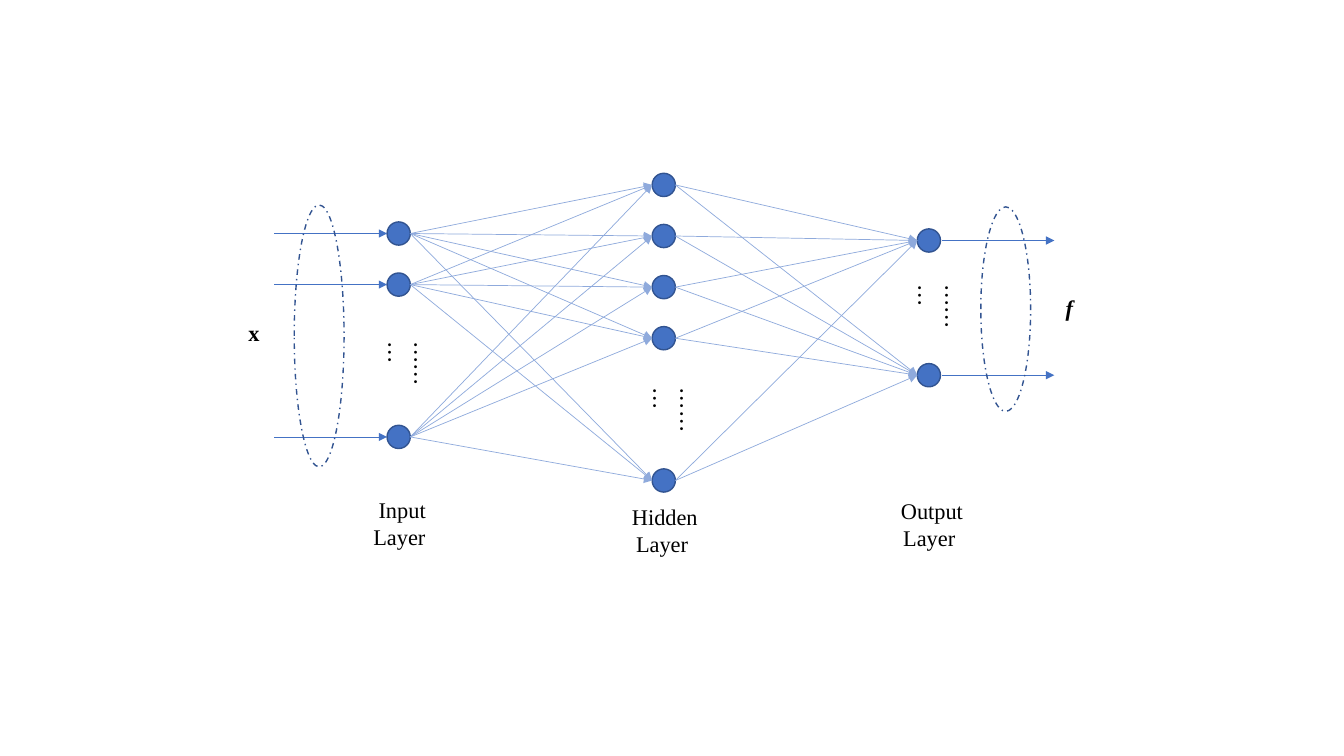
import itertools
from dataclasses import dataclass

import pptx
import pptx.dml.color
import pptx.enum.dml
import pptx.enum.shapes
import pptx.enum.text
import pptx.oxml.ns
import pptx.util
from lxml import etree

Pt = pptx.util.Pt
qn = pptx.oxml.ns.qn


@dataclass(frozen=True)
class Theme:
    node: str = "4472C4"
    outline: str = "325491"
    link: str = "8FAADC"
    text: str = "000000"
    size: float = 16
    serif: str = "Times New Roman"
    cjk: str = "Noto Sans CJK KR"


@dataclass(frozen=True)
class Layer:
    x: float          # centre of the column of neurons
    neurons: tuple    # centre heights
    dots_top: float
    label: str
    label_box: tuple


THEME = Theme()
RADIUS = 8.3
FIRST_X, LAYER_GAP = 284.8, 189.35
NEURON_GAP = 36.5

INPUT = Layer(FIRST_X, (166.8, 166.8 + NEURON_GAP, 312.1), 236.9,
              "Input Layer ", (247.7, 350.6, 79.2, 46))
HIDDEN = Layer(FIRST_X + LAYER_GAP,
               tuple(132.1 + NEURON_GAP * i for i in range(4)) + (343.2,),
               270, "Hidden Layer ", (430.6, 355.7, 88.6, 46))
OUTPUT = Layer(FIRST_X + 2 * LAYER_GAP, (171.8, 268), 195.8,
               "Output Layer ", (621.4, 351.4, 88.6, 46))
LAYERS = (INPUT, HIDDEN, OUTPUT)


def rgb(code):
    return pptx.dml.color.RGBColor.from_string(code)


def add_ellipse(slide, box, fill=None, dash=None):
    ellipse = slide.shapes.add_shape(
        pptx.enum.shapes.MSO_SHAPE.OVAL, *map(Pt, box))
    ellipse.shadow.inherit = False
    if fill:
        ellipse.fill.solid()
        ellipse.fill.fore_color.rgb = rgb(fill)
    else:
        ellipse.fill.background()
    ellipse.line.color.rgb = rgb(THEME.outline)
    ellipse.line.width = Pt(1)
    if dash:
        ellipse.line.dash_style = dash


def add_arrow(slide, start, end, color):
    arrow = slide.shapes.add_connector(
        pptx.enum.shapes.MSO_CONNECTOR.STRAIGHT, *map(Pt, start + end))
    arrow.line.color.rgb = rgb(color)
    arrow.line.width = Pt(0.5)
    etree.SubElement(arrow.line._get_or_add_ln(), qn("a:tailEnd"), type="triangle")
    etree.SubElement(arrow._element.spPr, qn("a:effectLst"))


def add_text(slide, words, box, font=THEME.serif, centred=True, vertical=False,
             **emphasis):
    frame = slide.shapes.add_textbox(*map(Pt, box)).text_frame
    frame.word_wrap = True
    frame.auto_size = pptx.enum.text.MSO_AUTO_SIZE.SHAPE_TO_FIT_TEXT
    if vertical:
        frame._txBody.bodyPr.set("vert", "eaVert")
    paragraph = frame.paragraphs[0]
    if centred:
        paragraph.alignment = pptx.enum.text.PP_ALIGN.CENTER
    run = paragraph.add_run()
    run.text = words
    run.font.color.rgb = rgb(THEME.text)
    for name, value in {"name": font, "size": Pt(THEME.size), **emphasis}.items():
        setattr(run.font, name, value)
    etree.SubElement(run.font._element, qn("a:ea"), typeface=font)


def add_neurons(slide, layer):
    for y in layer.neurons:
        add_ellipse(slide, (layer.x - RADIUS, y - RADIUS, 2 * RADIUS, 2 * RADIUS),
                    fill=THEME.node)


def add_links(slide, source, target):
    for start_y, end_y in itertools.product(source.neurons, target.neurons):
        add_arrow(slide, (source.x + RADIUS, start_y), (target.x - RADIUS, end_y),
                  THEME.link)


def main():
    deck = pptx.Presentation()
    deck.slide_width, deck.slide_height = Pt(960), Pt(540)
    slide = deck.slides.add_slide(deck.slide_layouts[6])

    # Neurons and the dots for those left out
    for layer in LAYERS:
        add_neurons(slide, layer)
    for layer in LAYERS:
        add_text(slide, "………", (layer.x - 7.6, layer.dots_top, 33.8, 56.9),
                 font=THEME.cjk, centred=False, vertical=True)

    # Full connections between neighbouring layers
    for source, target in zip(LAYERS, LAYERS[1:]):
        add_links(slide, source, target)

    # Arrows into and out of the network
    for y in INPUT.neurons:
        add_arrow(slide, (196, y), (INPUT.x - RADIUS, y), THEME.node)
    for y in OUTPUT.neurons:
        add_arrow(slide, (OUTPUT.x + RADIUS + 1, y), (753.1, y), THEME.node)

    # Vectors x and f
    dash_dot = pptx.enum.dml.MSO_LINE.DASH_DOT
    for vector in ((210.2, 146.4, 35.6, 187), (700.6, 147.8, 35.6, 146)):
        add_ellipse(slide, vector, dash=dash_dot)
    add_text(slide, "x", (141.8, 224.6, 79.2, 26.6), bold=True)
    add_text(slide, "f", (724.3, 206.6, 79.2, 26.6), bold=True, italic=True)

    # Layer names
    for layer in LAYERS:
        add_text(slide, layer.label, layer.label_box)

    deck.save("out.pptx")


if __name__ == "__main__":
    main()
